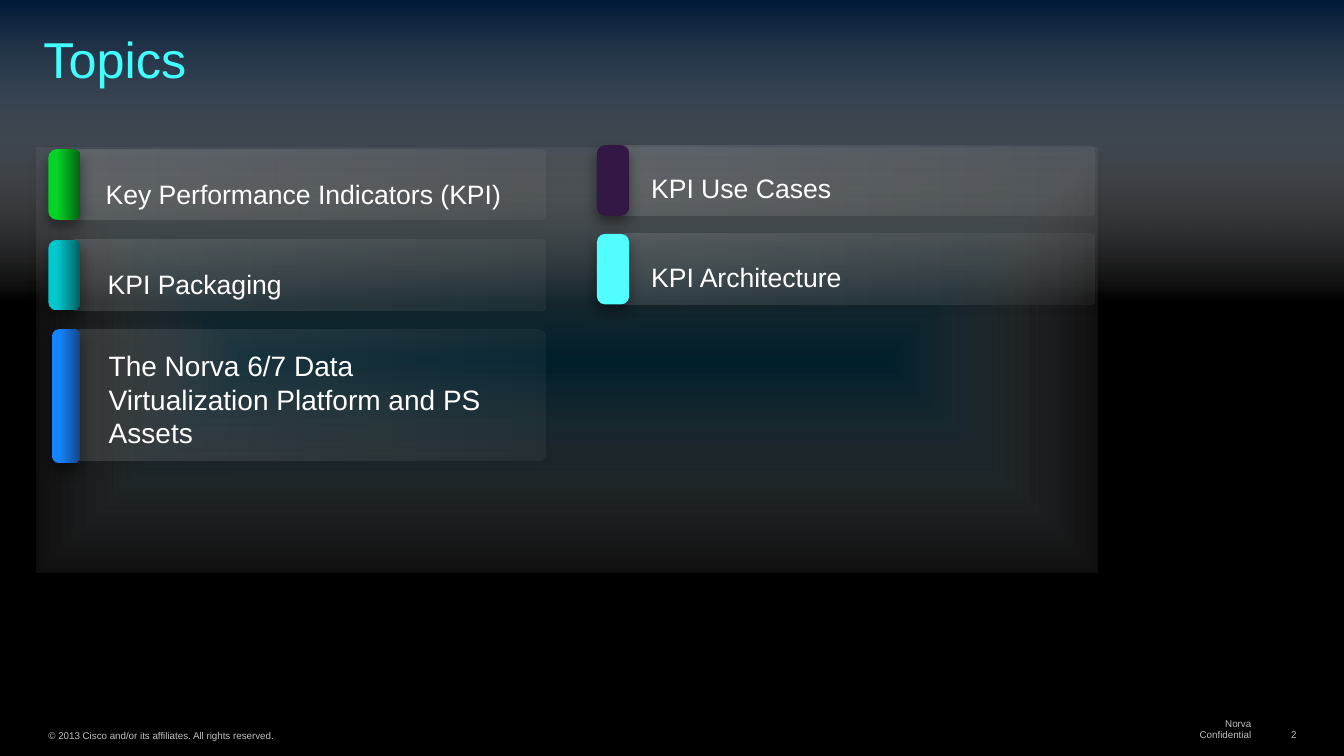
from pptx import Presentation
from pptx.dml.color import RGBColor
from pptx.enum.shapes import MSO_SHAPE
from pptx.enum.text import MSO_ANCHOR, PP_ALIGN
from pptx.oxml import parse_xml
from pptx.oxml.ns import nsdecls, qn
from pptx.util import Inches, Pt

RECT, ROUND = MSO_SHAPE.RECTANGLE, MSO_SHAPE.ROUNDED_RECTANGLE
TOP, BOTTOM = MSO_ANCHOR.TOP, MSO_ANCHOR.BOTTOM
LEFT, RIGHT = PP_ALIGN.LEFT, PP_ALIGN.RIGHT

FONT = "Arial"
COLORS = {
    "black": "000000", "white": "FFFFFF", "navy": "001A38", "teal": "004B6B",
    "title": "40FFFE", "footer": "C0C0C0",
    "green": "03D526", "dark_green": "026211",
    "cyan": "00C8CD", "dark_cyan": "005D60",
    "blue": "1585FF", "dark_blue": "134486",
    "purple": "331744", "aqua": "51FDFF",
}
# Shadows: opacity %, blur pt, distance pt, direction in degrees
SOFT_SHADOW = (27, 6, 4, 90)
TAB_SHADOW = (44, 10, 5, 94)


def rgb(name):
    return RGBColor.from_string(COLORS[name])


def set_gradient(sp, stops, angle=None):
    """Stops are (position %, colour, opacity %); no angle means from the centre."""
    gs = "".join(
        f'<a:gs pos="{pos * 1000}"><a:srgbClr val="{COLORS[color]}">'
        f'<a:alpha val="{alpha * 1000}"/></a:srgbClr></a:gs>'
        for pos, color, alpha in stops)
    if angle is None:
        kind = ('<a:path path="rect"><a:fillToRect l="50000" t="50000" '
                'r="50000" b="50000"/></a:path>')
    else:
        kind = f'<a:lin ang="{angle * 60000}" scaled="0"/>'
    grad = parse_xml(f'<a:gradFill {nsdecls("a")} rotWithShape="1">'
                     f'<a:gsLst>{gs}</a:gsLst>{kind}</a:gradFill>')
    sp.fill.background()
    spPr = sp._element.spPr
    spPr.replace(spPr.find(qn("a:noFill")), grad)


def set_shadow(sp, alpha, blur, dist, angle):
    sp.shadow.inherit = False
    sp._element.spPr.find(qn("a:effectLst")).append(parse_xml(
        f'<a:outerShdw {nsdecls("a")} blurRad="{Pt(blur)}" dist="{Pt(dist)}" '
        f'dir="{angle * 60000}" rotWithShape="0"><a:srgbClr val="{COLORS["black"]}">'
        f'<a:alpha val="{alpha * 1000}"/></a:srgbClr></a:outerShdw>'))


def add_box(s, x, y, w, h, shape=RECT, radius=None, shadow=SOFT_SHADOW):
    sp = s.shapes.add_shape(shape, Inches(x), Inches(y), Inches(w), Inches(h))
    if radius is not None:
        sp.adjustments[0] = radius
    sp.line.fill.background()
    set_shadow(sp, *shadow)
    return sp


def add_text(s, text, x, y, w, h, size=19, color="white", anchor=TOP, align=LEFT,
             spacing=None, indent=0, wrap=True, inset=(0.1, 0.05)):
    tb = s.shapes.add_textbox(Inches(x), Inches(y), Inches(w), Inches(h))
    tf = tb.text_frame
    tf.word_wrap = wrap
    tf.vertical_anchor = anchor
    tf.margin_left = tf.margin_right = Inches(inset[0])
    tf.margin_top = tf.margin_bottom = Inches(inset[1])
    p = tf.paragraphs[0]
    p.alignment = align
    if spacing:
        p.line_spacing = spacing
    if indent:
        p.level = 1
        pPr = p._p.get_or_add_pPr()
        pPr.set("marL", str(Inches(indent)))
        pPr.set("indent", "0")
    r = p.add_run()
    r.text = text
    r.font.name, r.font.size, r.font.color.rgb = FONT, Pt(size), rgb(color)


def add_card(s, x, y, h):
    sp = add_box(s, x, y, 4.7, h, ROUND, 0.056)
    set_gradient(sp, [(0, "white", 13), (100, "white", 5)], 0)


def add_tab(s, cx, cy, length, width, color, dark=None):
    """Coloured upright tab, centred on a point."""
    sp = add_box(s, cx - length / 2, cy - width / 2, length, width,
                 ROUND, 0.254, TAB_SHADOW)
    sp.rotation = 270
    if dark:
        set_gradient(sp, [(26, color, 100), (100, dark, 100)], 90)
    else:
        sp.fill.solid()
        sp.fill.fore_color.rgb = rgb(color)


def add_topic(s, text, x, y, text_x, text_y, text_w, tab_x, color, dark=None):
    """One-line topic: card, label and tab."""
    add_card(s, x, y, 0.7)
    add_text(s, text, text_x, text_y, text_w, 0.69, spacing=2, indent=0.24)
    add_tab(s, tab_x, y + 0.35, 0.7, 0.32, color, dark)


def main():
    prs = Presentation()
    prs.slide_width, prs.slide_height = Inches(13.33), Inches(7.5)
    s = prs.slides.add_slide(prs.slide_layouts[6])

    # Background
    s.background.fill.solid()
    s.background.fill.fore_color.rgb = rgb("black")
    glow = add_box(s, 0, 0, 13.33, 3.01)
    set_gradient(glow, [(0, "navy", 100), (100, "white", 0)], 90)

    # Footer
    footer = dict(size=7, color="footer", anchor=BOTTOM, inset=(0.09, 0.04))
    add_text(s, "© 2013 Cisco and/or its affiliates. All rights reserved.",
             0.39, 7.19, 4.99, 0.21, **footer)
    for text, x, w in [("Norva Confidential", 11.53, 0.97), ("2", 12.65, 0.3)]:
        add_text(s, text, x, 7.18, w, 0.21, align=RIGHT, wrap=False, **footer)

    # Panel and title
    panel = add_box(s, 0.36, 1.46, 10.52, 4.22)
    set_gradient(panel, [(0, "teal", 40), (100, "white", 5)])
    add_text(s, "Topics", 0.34, 0, 12.51, 0.92, size=36, color="title",
             anchor=BOTTOM, spacing=0.8, inset=(0.09, 0.05))

    # Left column
    add_topic(s, "Key Performance Indicators (KPI)", 0.71, 1.48, 0.71, 1.4, 4.73,
              0.64, "green", "dark_green")
    add_topic(s, "KPI Packaging", 0.71, 2.38, 0.73, 2.29, 5.2,
              0.64, "cyan", "dark_cyan")
    add_card(s, 0.71, 3.27, 1.3)
    add_text(s, "The Norva 6/7 Data Virtualization Platform and PS Assets",
             0.98, 3.41, 3.97, 1.11, size=20)
    add_tab(s, 0.655, 3.93, 1.33, 0.28, "blue", "dark_blue")

    # Right column
    for text, y, color in [("KPI Use Cases", 1.44, "purple"),
                           ("KPI Architecture", 2.32, "aqua")]:
        add_topic(s, text, 6.16, y, 6.12, y - 0.1, 3.8, 6.08, color)

    prs.save("out.pptx")


if __name__ == "__main__":
    main()
